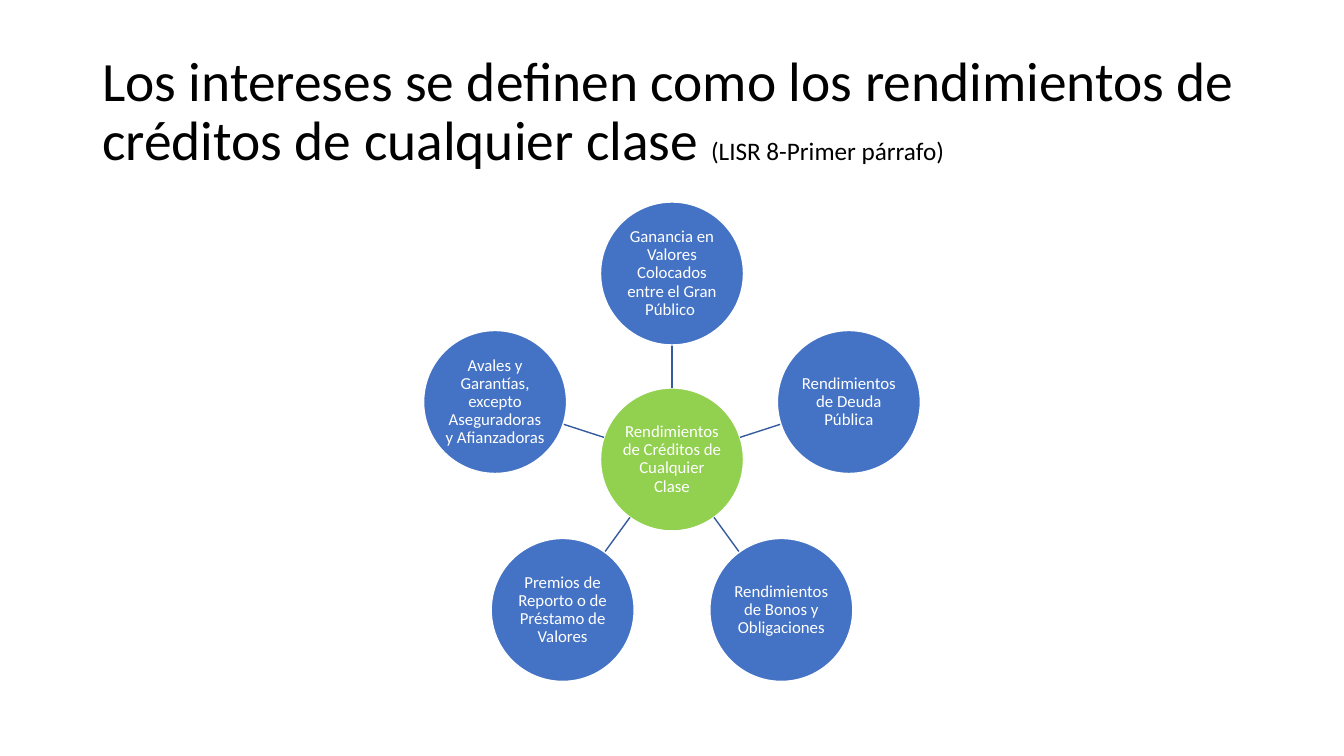
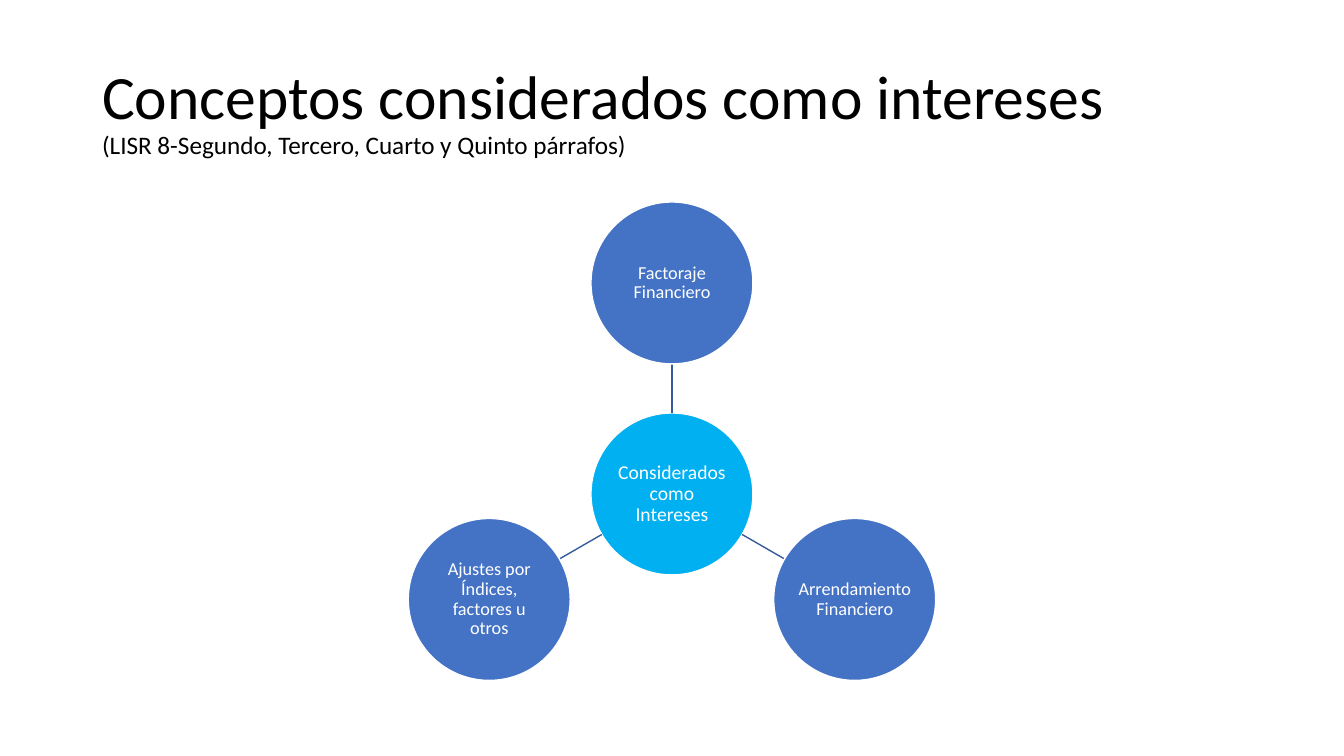
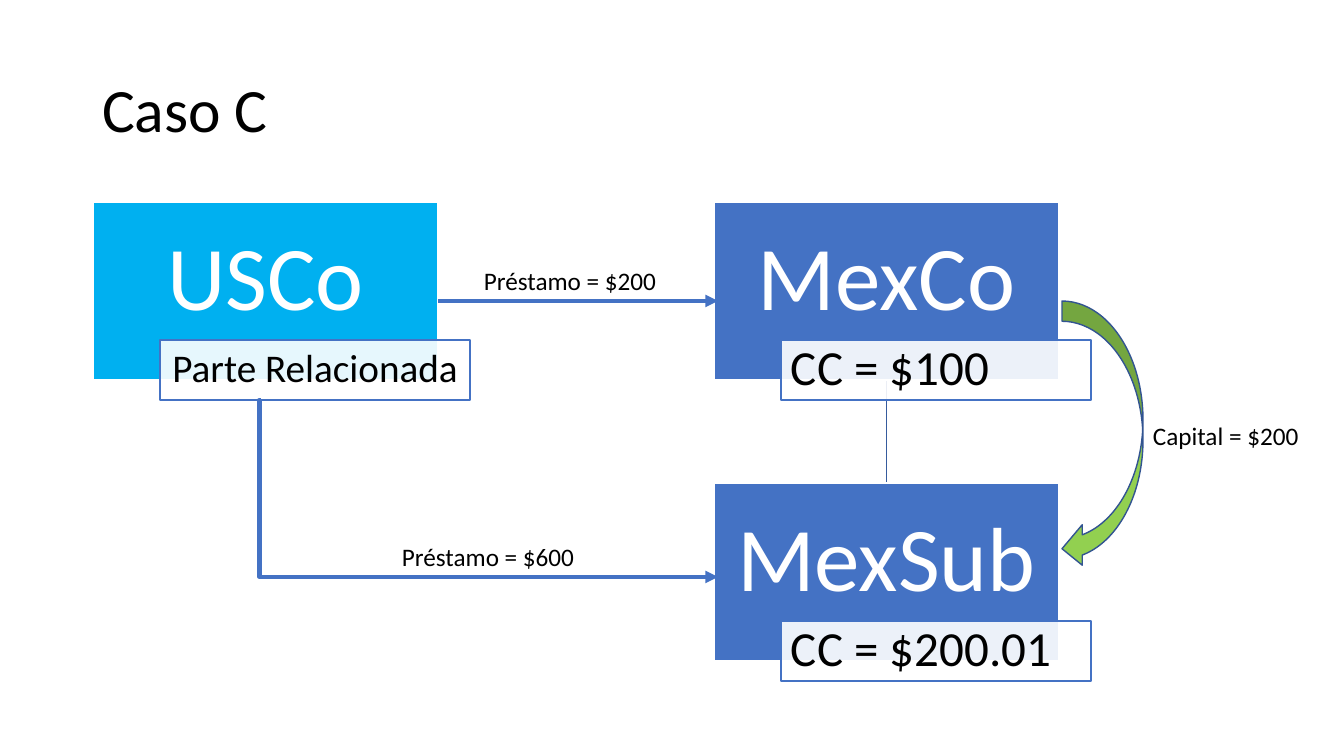
from math import cos, radians, sin

from lxml.etree import SubElement
from pptx import Presentation
from pptx.dml.color import RGBColor
from pptx.enum.shapes import MSO_CONNECTOR as Connector, MSO_SHAPE as Preset
from pptx.enum.text import MSO_ANCHOR as Anchor, MSO_AUTO_SIZE as AutoSize, PP_ALIGN as Align
from pptx.oxml.ns import qn
from pptx.util import Emu, Pt

EMU_PER_PX = 914400 / 100.8
FONT = "Calibri"
BLUE, CYAN, GREEN = "4472C4", "00B0F0", "92D050"
SPOKE, ARROW_EDGE = "365B9D", "325491"
WHITE, BLACK = "FFFFFF", "000000"
TITLE_BOX = (92, 40, 1159, 146)
DIAGRAM_CENTER, DIAGRAM_TOP = 672, 202
COMPANY_SIZE = (345, 178)


def px(*lengths):
    """Turn px lengths into EMU."""
    return [Emu(round(length * EMU_PER_PX)) for length in lengths]


def color(value):
    """Turn a hex string into a colour."""
    return RGBColor.from_string(value)


def assign(target, formats):
    """Set each attribute of the target from a dict."""
    for name, value in formats.items():
        setattr(target, name, value)


def add_run(paragraph, text, size, text_color):
    """Add a run in the deck font."""
    run = paragraph.add_run()
    run.text = text
    assign(run.font, {"name": FONT, "size": Pt(size)})
    run.font.color.rgb = color(text_color)


def write(shape, text, size, text_color, insets, align=Align.CENTER):
    """Write one tight, vertically centred paragraph into a shape."""
    left, top, right, bottom = px(*insets)
    frame = shape.text_frame
    assign(frame, {
        "word_wrap": True, "vertical_anchor": Anchor.MIDDLE,
        "margin_left": left, "margin_top": top,
        "margin_right": right, "margin_bottom": bottom,
    })
    paragraph = frame.paragraphs[0]
    assign(paragraph, {"alignment": align, "line_spacing": 0.9})
    add_run(paragraph, text, size, text_color)


def add_shape(slide, preset, box, fill, line=WHITE, opacity=100):
    """Add a flat preset shape with a thin outline."""
    shape = slide.shapes.add_shape(preset, *px(*box))
    shape.shadow.inherit = False
    shape.fill.solid()
    shape.fill.fore_color.rgb = color(fill)
    shape.line.color.rgb = color(line)
    shape.line.width = Pt(1)
    if opacity < 100:
        fill_color = shape.fill._xPr.find(qn("a:solidFill"))[0]
        SubElement(fill_color, qn("a:alpha"), val=str(opacity * 1000))
    return shape


def add_line(slide, start, end, line=SPOKE, width=1, kind=Connector.STRAIGHT, arrow=False):
    """Add a connector, with an arrowhead at its end if asked."""
    connector = slide.shapes.add_connector(kind, *px(*start, *end))
    connector.line.color.rgb = color(line)
    connector.line.width = Pt(width)
    if arrow:
        SubElement(connector.line._get_or_add_ln(), qn("a:tailEnd"), type="triangle")
    SubElement(connector._element.spPr, qn("a:effectLst"))
    return connector


def add_titled_slide(presentation, title, reference="", size=44, own_line=False):
    """Add a slide with a title and its small legal reference."""
    slide = presentation.slides.add_slide(presentation.slide_layouts[5])
    shape = slide.shapes.title
    assign(shape, dict(zip(("left", "top", "width", "height"), px(*TITLE_BOX))))
    assign(shape.text_frame, {
        "word_wrap": True, "auto_size": AutoSize.NONE, "vertical_anchor": Anchor.MIDDLE,
    })
    paragraph = shape.text_frame.paragraphs[0]
    assign(paragraph, {"alignment": Align.LEFT, "line_spacing": 0.9})
    add_run(paragraph, title, size, BLACK)
    if own_line:
        paragraph.add_line_break()
    if reference:
        add_run(paragraph, reference, 18, BLACK)
    return slide


def add_radial(slide, center_x, top, diameter, orbit, hub, hub_fill, hub_size, topics, topic_size):
    """Draw a hub with topics spaced evenly around it, clockwise from the top."""
    radius = diameter / 2
    center_y = top + radius + orbit

    def point(angle, distance):
        """Find a point at a distance from the hub centre."""
        return center_x + distance * cos(angle), center_y + distance * sin(angle)

    def add_circle(center, text, fill, size):
        """Draw one circle with its text."""
        x, y = center
        box = (x - radius, y - radius, diameter, diameter)
        write(add_shape(slide, Preset.OVAL, box, fill), text, size, WHITE, (1, 1, 1, 1))

    add_circle((center_x, center_y), hub, hub_fill, hub_size)
    for index, topic in enumerate(topics):
        angle = radians(360 * index / len(topics) - 90)
        add_line(slide, point(angle, radius), point(angle, orbit - radius))
        add_circle(point(angle, orbit), topic, BLUE, topic_size)


def add_company(slide, left, top, name, fill, note, note_size, note_inset, note_align):
    """Draw a company box with a note over its lower right corner."""
    company = add_shape(slide, Preset.RECTANGLE, (left, top, *COMPANY_SIZE), fill)
    write(company, name, 65, WHITE, (5, 5, 5, 25))
    tag = add_shape(slide, Preset.RECTANGLE, (left + 67, top + 138, 310, 60), WHITE, BLUE, 90)
    write(tag, note, note_size, BLACK, (note_inset, 2, note_inset, 2), note_align)


def add_amount(slide, left, top, width, text):
    """Add the one-line amount beside an arrow."""
    frame = slide.shapes.add_textbox(*px(left, top, width, 40)).text_frame
    assign(frame, {"word_wrap": False, "auto_size": AutoSize.SHAPE_TO_FIT_TEXT})
    add_run(frame.paragraphs[0], text, 18, BLACK)


def add_case(slide, left, top):
    """Draw the loans and capital among the three companies."""
    company_width, company_height = COMPANY_SIZE
    subsidiary_left, subsidiary_top = left + 621, top + 281
    owner_x = subsidiary_left + company_width / 2
    add_line(slide, (owner_x, top + company_height), (owner_x, subsidiary_top))
    add_company(slide, left, top, "USCo", CYAN, "Parte Relacionada", 28, 8, Align.CENTER)
    for company_top, name, note in (
        (top, "MexCo", "CC = $100"),
        (subsidiary_top, "MexSub", "CC = $200.01"),
    ):
        add_company(slide, subsidiary_left, company_top, name, BLUE, note, 35, 10, Align.LEFT)

    loan = {"line": BLUE, "width": 3, "arrow": True}
    loan_end = subsidiary_left + 4
    add_line(slide, (left + company_width, top + 99), (loan_end, top + 99), **loan)
    elbow = add_line(slide, (left + 167, top + 198), (loan_end, top + 375),
                     kind=Connector.ELBOW, **loan)
    guides = elbow._element.spPr.find(qn("a:prstGeom")).find(qn("a:avLst"))
    SubElement(guides, qn("a:gd"), name="adj1", fmla="val -100")

    add_shape(slide, Preset.CURVED_LEFT_ARROW, (left + 969, top + 99, 81, 268), GREEN, ARROW_EDGE)
    for x, y, width, text in (
        (381, 58, 195, "Préstamo = $200"),
        (299, 334, 195, "Préstamo = $600"),
        (1050, 213, 167, "Capital = $200"),
    ):
        add_amount(slide, left + x, top + y, width, text)


def main():
    """Build and save the presentation."""
    presentation = Presentation()
    width, height = px(1344, 756)
    assign(presentation, {"slide_width": width, "slide_height": height})

    slide = add_titled_slide(
        presentation,
        "Los intereses se definen como los rendimientos de créditos de cualquier clase ",
        "(LISR 8-Primer párrafo)", size=39.6)
    add_radial(
        slide, DIAGRAM_CENTER, DIAGRAM_TOP, 143, 186,
        "Rendimientos de Créditos de Cualquier Clase", GREEN, 12,
        ["Ganancia en Valores Colocados entre el Gran Público ",
         "Rendimientos de Deuda Pública",
         "Rendimientos de Bonos y Obligaciones",
         "Premios de Reporto o de Préstamo de Valores",
         "Avales y Garantías, excepto Aseguradoras y Afianzadoras"], 12)

    slide = add_titled_slide(
        presentation, "Conceptos considerados como intereses",
        "(LISR 8-Segundo, Tercero, Cuarto y Quinto párrafos)", own_line=True)
    add_radial(
        slide, DIAGRAM_CENTER, DIAGRAM_TOP, 162, 211,
        "Considerados como Intereses", CYAN, 14,
        ["Factoraje Financiero",
         "Arrendamiento Financiero",
         "Ajustes por Índices, factores u otros"], 13)

    add_case(add_titled_slide(presentation, "Caso C"), 93, 202)
    presentation.save("out.pptx")


if __name__ == "__main__":
    main()
